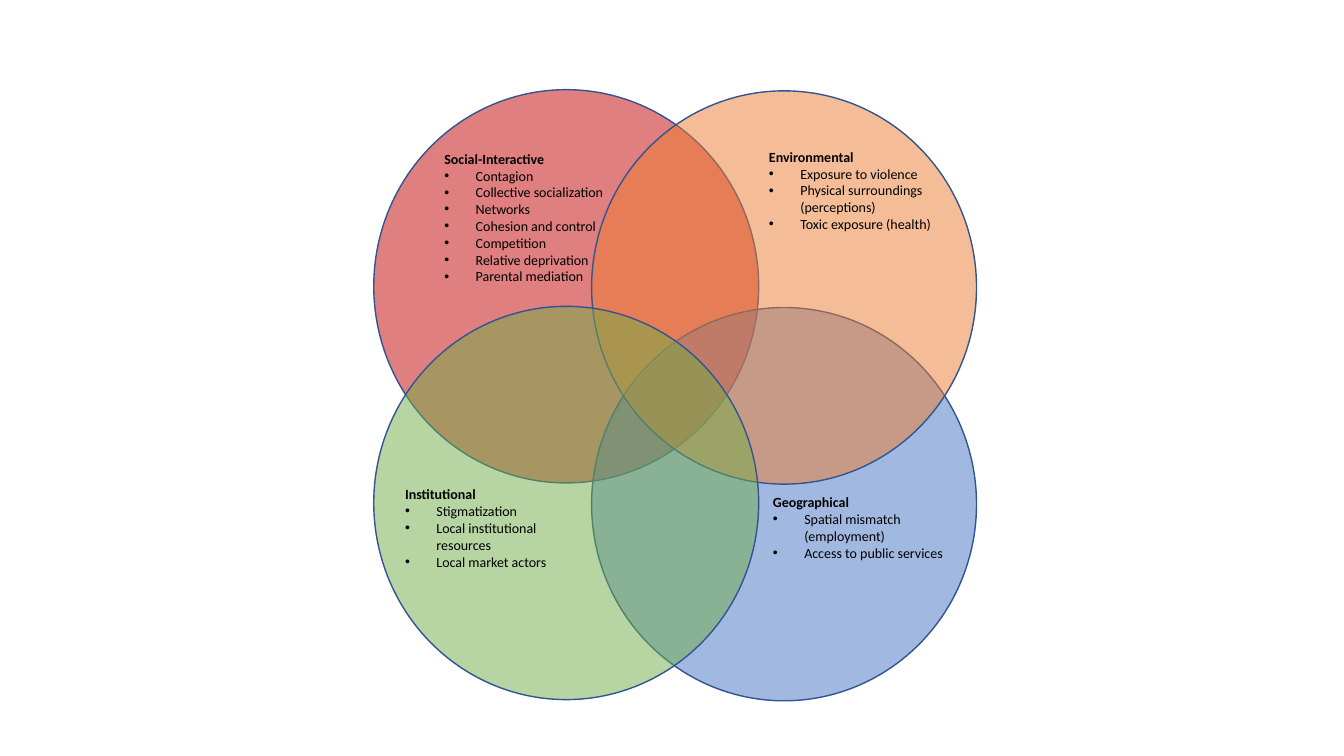
from lxml import etree
from pptx import Presentation
from pptx.dml.color import RGBColor
from pptx.enum import shapes, text
from pptx.oxml import ns
from pptx.util import Cm, Pt

RED = RGBColor(0xC0, 0x00, 0x00)
BLUE = RGBColor(0x44, 0x72, 0xC4)
ORANGE = RGBColor(0xED, 0x7D, 0x31)
GREEN = RGBColor(0x70, 0xAD, 0x47)
OUTLINE = RGBColor(0x32, 0x54, 0x91)
BLACK = RGBColor(0, 0, 0)

CIRCLES = [(0, 0, RED), (1, 1, BLUE), (1, 0, ORANGE), (0, 1, GREEN)]
LABELS = [
    ("Social-Interactive", (10.95, 3.66, 6.25, 4.11),
     ["Contagion", "Collective socialization", "Networks", "Cohesion and control",
      "Competition", "Relative deprivation", "Parental mediation"]),
    ("Environmental", (19.13, 3.61, 4.95, 2.39),
     ["Exposure to violence", "Physical surroundings (perceptions)",
      "Toxic exposure (health)"]),
    ("Geographical", (19.23, 12.32, 4.95, 1.96),
     ["Spatial mismatch (employment)", "Access to public services"]),
    ("Institutional", (9.96, 12.12, 4.95, 2.39),
     ["Stigmatization", "Local institutional resources", "Local market actors"]),
]
LEFT, TOP = 9.42, 2.26
WIDTH, HEIGHT = 9.7, 9.91
COLUMN_STEP, ROW_STEP, COLUMN_DROP = 5.49, 5.46, 0.03
INDENT = Cm(0.79)


def add_circle(page, column, row, color):
    left = LEFT + column * COLUMN_STEP
    top = TOP + row * ROW_STEP + column * COLUMN_DROP
    circle = page.shapes.add_shape(
        shapes.MSO_SHAPE.OVAL, Cm(left), Cm(top), Cm(WIDTH), Cm(HEIGHT))
    circle.shadow.inherit = False
    circle.fill.solid()
    circle.fill.fore_color.rgb = color
    tint = circle.fill._xPr.find(ns.qn("a:solidFill"))[0]
    etree.SubElement(tint, ns.qn("a:alpha"), val="50000")
    circle.line.color.rgb = OUTLINE
    circle.line.width = Pt(1)


def add_span(para, words, bold):
    span = para.add_run()
    span.text = words
    span.font.name = "Calibri"
    span.font.size = Pt(10)
    span.font.bold = bold
    span.font.color.rgb = BLACK


def add_bullet(para):
    properties = para._p.get_or_add_pPr()
    properties.set("marL", str(INDENT))
    properties.set("indent", str(-INDENT))
    etree.SubElement(properties, ns.qn("a:buFont"), typeface="Arial")
    etree.SubElement(properties, ns.qn("a:buChar"), char="•")


def add_label(page, heading, place, items):
    box = page.shapes.add_textbox(*map(Cm, place))
    frame = box.text_frame
    frame.word_wrap = True
    frame.auto_size = text.MSO_AUTO_SIZE.SHAPE_TO_FIT_TEXT
    add_span(frame.paragraphs[0], heading, True)
    for item in items:
        para = frame.add_paragraph()
        add_bullet(para)
        add_span(para, item, False)


deck = Presentation()
deck.slide_width, deck.slide_height = Cm(33.87), Cm(19.05)
page = deck.slides.add_slide(deck.slide_layouts[6])
for column, row, color in CIRCLES:
    add_circle(page, column, row, color)
for heading, place, items in LABELS:
    add_label(page, heading, place, items)
deck.save("out.pptx")
